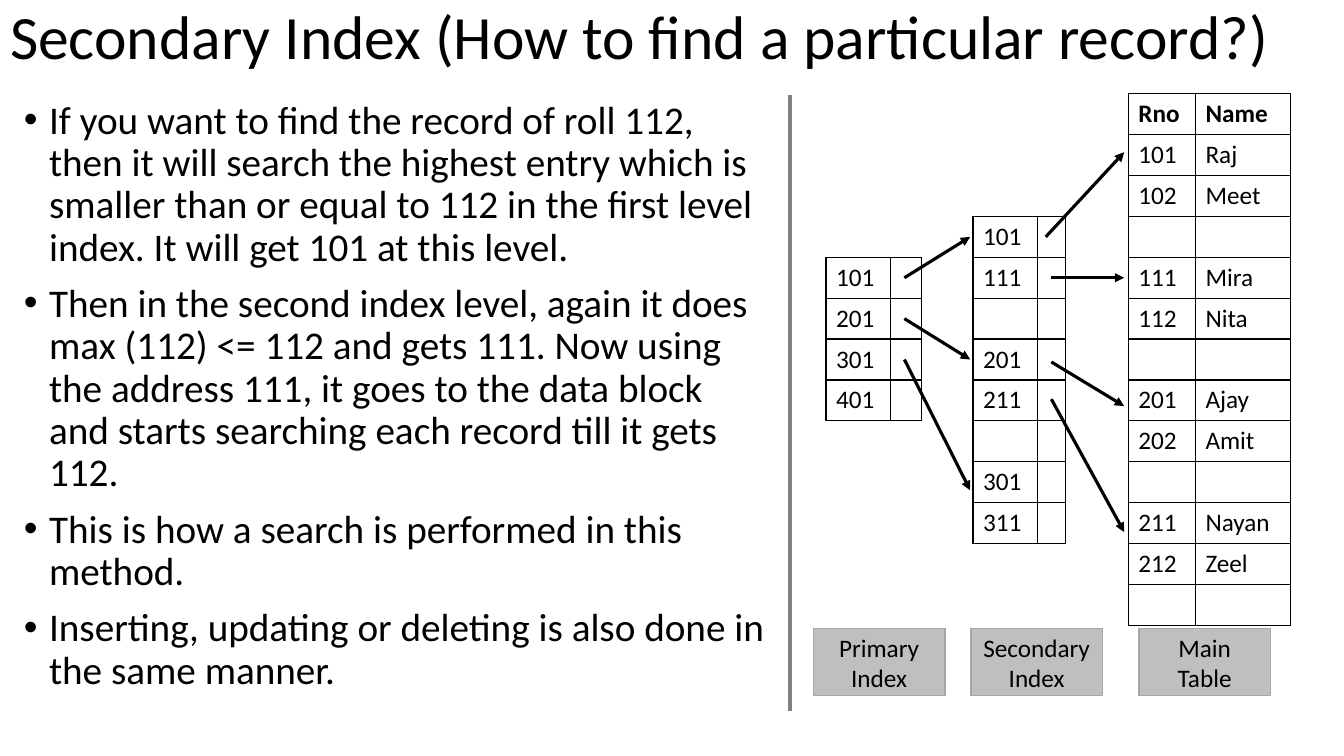
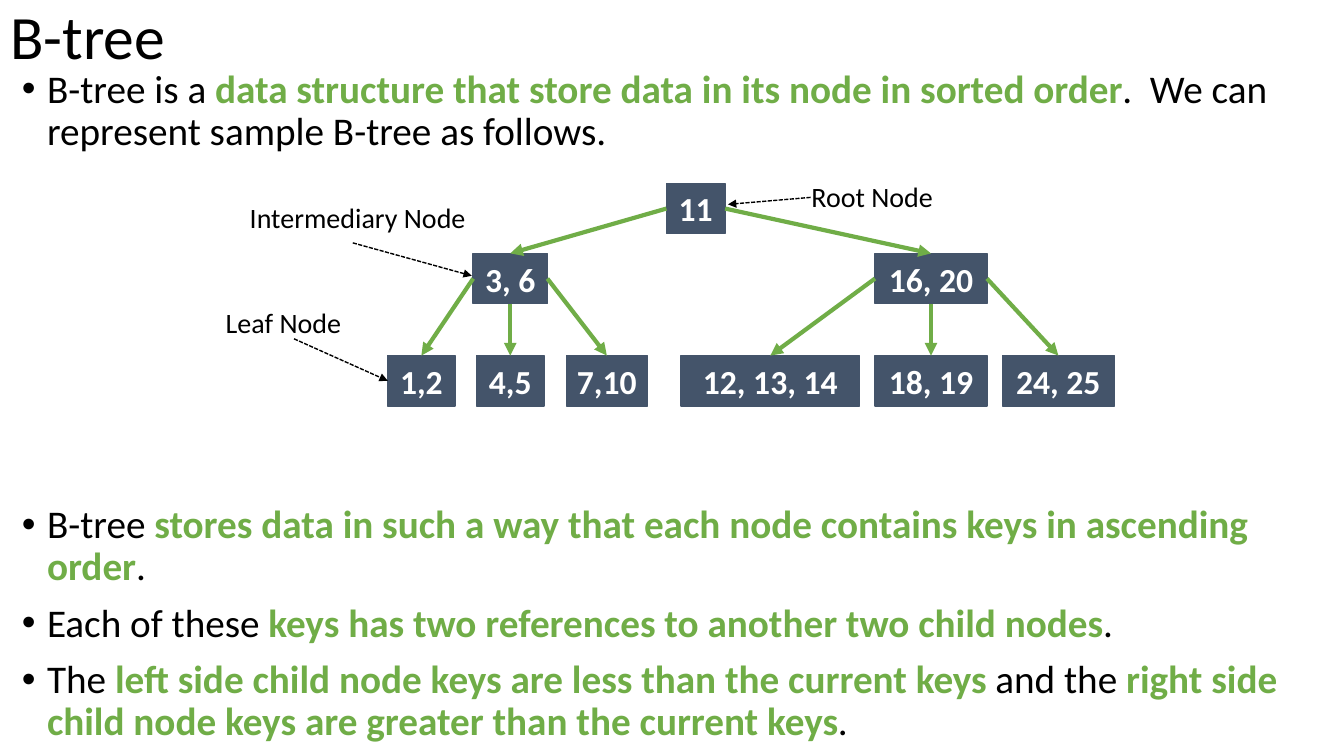
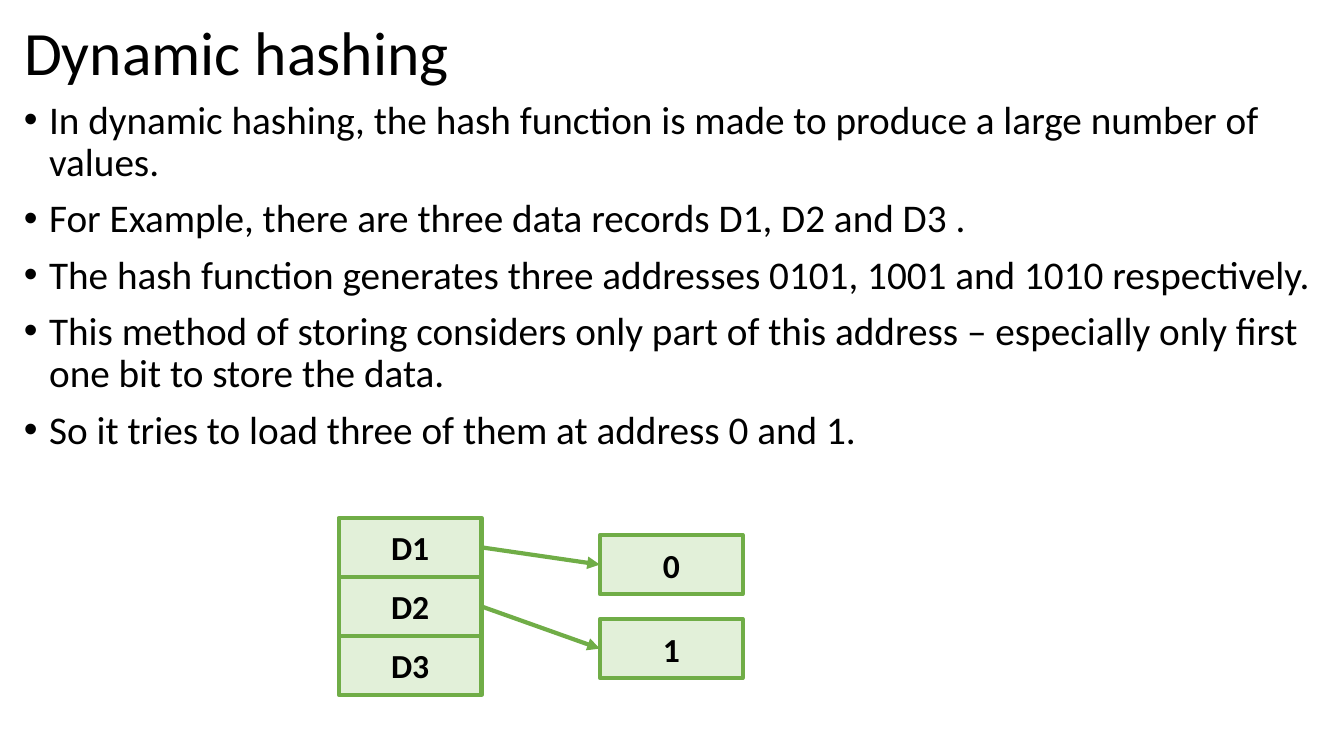
from pptx import Presentation
from pptx.dml.color import RGBColor
from pptx.enum import dml, shapes, text
from pptx.oxml import ns, xmlchemy
from pptx.util import Pt

FONT = "Calibri"
BLACK = RGBColor(0x00, 0x00, 0x00)
WHITE = RGBColor(0xFF, 0xFF, 0xFF)
GREEN = RGBColor(0x70, 0xAD, 0x47)
PALE_GREEN = RGBColor(0xE2, 0xF0, 0xD9)
SLATE = RGBColor(0x44, 0x54, 0x6A)
GRAY = RGBColor(0x80, 0x80, 0x80)
LIGHT_GRAY = RGBColor(0xBF, 0xBF, 0xBF)
MID_GRAY = RGBColor(0xA6, 0xA6, 0xA6)
PLAIN_TABLE = "{2D5ABB26-0587-4C30-8999-92F81FD0307C}"
TOP, LEFT, BOTTOM, RIGHT = range(4)

SEARCH_STEPS = [
    "If you want to find the record of roll 112, then it will search the highest entry which is "
    "smaller than or equal to 112 in the first level index. It will get 101 at this level.",
    "Then in the second index level, again it does max (112) <= 112 and gets 111. Now using the "
    "address 111, it goes to the data block and starts searching each record till it gets 112.",
    "This is how a search is performed in this method.",
    "Inserting, updating or deleting is also done in the same manner.",
]
TREE_INTRO = [
    "B-tree is a *data structure that store data in its node in sorted order*.  We can represent "
    "sample B-tree as follows.",
]
TREE_RULES = [
    "B-tree *stores data in such a way that each node contains keys in ascending order*.",
    "Each of these *keys has two references to another two child nodes*.",
    "The *left side child node keys are less than the current keys *and the *right side child node "
    "keys are greater than the current keys*.",
]
HASHING_STEPS = [
    "In dynamic hashing, the hash function is made to produce a large number of values.",
    "For Example, there are three data records D1, D2 and D3 .",
    "The hash function generates three addresses 0101, 1001 and 1010 respectively.",
    "This method of storing considers only part of this address – especially only first one bit "
    "to store the data.",
    "So it tries to load three of them at address 0 and 1.",
]

INDEX_COLUMNS = [46, 22, 37, 46, 20, 45, 48, 68]
ROW_HEIGHT = 29.2
ROW_COUNT = 13
INDEX_BLOCKS = [
    (0, 4, [("101", ""), ("201", ""), ("301", ""), ("401", "")]),
    (3, 3, [("101", ""), ("111", ""), ("", ""), ("201", ""), ("211", ""), ("", ""),
            ("301", ""), ("311", "")]),
    (6, 0, [("Rno", "Name"), ("101", "Raj"), ("102", "Meet"), ("", ""), ("111", "Mira"),
            ("112", "Nita"), ("", ""), ("201", "Ajay"), ("202", "Amit"), ("", ""),
            ("211", "Nayan"), ("212", "Zeel"), ("", "")]),
]
INDEX_ARROWS = [
    (56, 4.5, 103, 3.5), (56, 5.5, 103, 6.5), (56, 6.5, 103, 9.7),
    (157, 3.5, 213, 1.43), (161, 4.5, 213, 4.5), (161, 6.56, 213, 7.64), (161, 7.47, 213, 10.72),
]
INDEX_CAPTIONS = [("Primary Index", -9), ("Secondary Index", 103.5), ("Main Table", 223.5)]

TREE_LEVELS = [0, 50, 123]
TREE = ("11", 199, 42, [
    ("3, 6", 61, 53, [("1,2", 0, 48, []), ("4,5", 63.5, 48, []), ("7,10", 127.5, 58, [])]),
    ("16, 20", 348, 80, [("12, 13, 14", 209.5, 127.5, []), ("18, 19", 348, 80, []),
                         ("24, 25", 439, 80, [])]),
])
TREE_LABELS = [
    ("Root Node", 295, -8.5, 102, (302, 10), (243, 15)),
    ("Leaf Node", -126, 81, 103, (-67, 111), (0, 141)),
    ("Intermediary Node", -113, 6.5, 183, (-25, 42.5), (60, 66)),
]


def add_xml(parent, tag, **attributes):
    element = xmlchemy.OxmlElement(tag)
    for name, value in attributes.items():
        element.set(name, str(value))
    parent.append(element)
    return element


def write(frame, paragraphs, size=18, color=BLACK, bold=False, align=None,
          anchor=text.MSO_ANCHOR.TOP, spacing=None, bullet=False):
    frame.word_wrap = True
    frame.vertical_anchor = anchor
    for index, content in enumerate(paragraphs):
        para = frame.add_paragraph() if index else frame.paragraphs[0]
        if bullet:
            props = para._p.get_or_add_pPr()
            props.set("marL", str(Pt(18)))
            props.set("indent", str(-Pt(18)))
            add_xml(props, "a:buFont", typeface="Arial")
            add_xml(props, "a:buChar", char="•")
            para.space_before = Pt(10 if index else 0)
        para.alignment = align
        para.line_spacing = spacing
        for position, part in enumerate(content.split("*")):
            marked = position % 2 == 1
            span = para.add_run()
            span.text = part
            span.font.name = FONT
            span.font.size = Pt(size)
            span.font.bold = bold or marked
            span.font.color.rgb = GREEN if marked else color


def add_page(deck, title, left=0, top=0):
    page = deck.slides.add_slide(deck.slide_layouts[5])
    box = page.shapes.title
    box.left, box.top, box.width, box.height = Pt(left), Pt(top), Pt(960 - 2 * left), Pt(56)
    write(box.text_frame, [title], size=44, align=text.PP_ALIGN.LEFT,
          anchor=text.MSO_ANCHOR.MIDDLE, spacing=0.9)
    box.text_frame.auto_size = text.MSO_AUTO_SIZE.NONE
    return page


def add_bullets(page, paragraphs, left, top, width, height):
    box = page.shapes.add_textbox(Pt(left), Pt(top), Pt(width), Pt(height))
    write(box.text_frame, paragraphs, size=28, spacing=0.9, bullet=True)


def add_box(page, label, left, top, width, height, fill=None, line=None, weight=1, **style):
    box = page.shapes.add_shape(shapes.MSO_SHAPE.RECTANGLE, Pt(left), Pt(top), Pt(width),
                                Pt(height))
    box.shadow.inherit = False
    if fill is None:
        box.fill.background()
        box.line.fill.background()
    else:
        box.fill.solid()
        box.fill.fore_color.rgb = fill
        box.line.color.rgb = line
        box.line.width = Pt(weight)
    write(box.text_frame, [label], align=text.PP_ALIGN.CENTER,
          anchor=text.MSO_ANCHOR.MIDDLE, **style)
    return box


def add_line(page, start, end, color, weight, dash=None, arrow=True):
    points = [Pt(value) for value in (*start, *end)]
    line = page.shapes.add_connector(shapes.MSO_CONNECTOR.STRAIGHT, *points)
    line.line.color.rgb = color
    line.line.width = Pt(weight)
    if dash:
        line.line.dash_style = dash
    if arrow:
        add_xml(line.line._get_or_add_ln(), "a:tailEnd", type="triangle")
    add_xml(line._element.spPr, "a:effectLst")
    return line


def join(page, source, source_side, target, target_side):
    line = add_line(page, (0, 0), (0, 0), GREEN, 3)
    line.begin_connect(source, source_side)
    line.end_connect(target, target_side)


def set_borders(cell, sides):
    props = cell._tc.get_or_add_tcPr()
    for side in ("L", "R", "T", "B"):
        if side in sides:
            edge = add_xml(props, f"a:ln{side}", w=Pt(1))
            add_xml(add_xml(edge, "a:solidFill"), "a:srgbClr", val=BLACK)
        else:
            add_xml(add_xml(props, f"a:ln{side}", w=0), "a:noFill")


def add_index_table(page, left, top):
    frame = page.shapes.add_table(ROW_COUNT, len(INDEX_COLUMNS), Pt(left), Pt(top),
                                  Pt(sum(INDEX_COLUMNS)), Pt(ROW_COUNT * ROW_HEIGHT))
    table = frame.table
    table.first_row = table.horz_banding = False
    table._tbl.tblPr.find(ns.qn("a:tableStyleId")).text = PLAIN_TABLE
    for column, width in zip(table.columns, INDEX_COLUMNS):
        column.width = Pt(width)
    entries = {
        (first_row + i, first_column + j): value
        for first_column, first_row, rows in INDEX_BLOCKS
        for i, row in enumerate(rows)
        for j, value in enumerate(row)
    }
    for r, row in enumerate(table.rows):
        row.height = Pt(ROW_HEIGHT)
        for c, cell in enumerate(row.cells):
            neighbours = {"L": (r, c - 1), "R": (r, c + 1), "T": (r - 1, c), "B": (r + 1, c)}
            set_borders(cell, [side for side, place in neighbours.items()
                               if (r, c) in entries or place in entries])
            cell.fill.background()
            write(cell.text_frame, [entries.get((r, c), "")], bold=r == 0)


def add_index_diagram(page, left, top):
    add_index_table(page, left, top)
    for x1, row1, x2, row2 in INDEX_ARROWS:
        add_line(page, (left + x1, top + row1 * ROW_HEIGHT),
                 (left + x2, top + row2 * ROW_HEIGHT), BLACK, 2.25)
    for label, x in INDEX_CAPTIONS:
        add_box(page, label, left + x, top + 382, 94, 48, fill=LIGHT_GRAY, line=MID_GRAY)


def add_node(page, node, left, top, level=0):
    label, x, width, children = node
    box = add_box(page, label, left + x, top + TREE_LEVELS[level], width, 36,
                  fill=SLATE, line=SLATE, size=24, color=WHITE, bold=True)
    sides = (LEFT, RIGHT) if len(children) == 2 else (LEFT, BOTTOM, RIGHT)
    for side, child in zip(sides, children):
        join(page, box, side, add_node(page, child, left, top, level + 1), TOP)
    return box


def add_tree(page, left, top):
    add_node(page, TREE, left, top)
    for label, x, y, width, start, end in TREE_LABELS:
        add_box(page, label, left + x, top + y, width, 36, size=20)
        add_line(page, (left + start[0], top + start[1]), (left + end[0], top + end[1]),
                 BLACK, 1, dash=dml.MSO_LINE.SQUARE_DOT)


def add_buckets(page, left, top):
    def add_column(labels, x, y, step):
        return [add_box(page, label, left + x, top + y + i * step, 102, 42, fill=PALE_GREEN,
                        line=GREEN, weight=3, size=24, bold=True)
                for i, label in enumerate(labels)]

    records = add_column(["D1", "D2", "D3"], 0, 0, 42.2)
    addresses = add_column(["0", "1"], 186.5, 12.3, 60)
    for record, address in zip(records, addresses):
        join(page, record, RIGHT, address, LEFT)


def main():
    deck = Presentation()
    deck.slide_width, deck.slide_height = Pt(960), Pt(540)

    page = add_page(deck, "Secondary Index (How to find a particular record?)")
    add_bullets(page, SEARCH_STEPS, 10, 68, 545, 440)
    add_line(page, (564.5, 68), (564.5, 508), GRAY, 3, arrow=False)
    add_index_diagram(page, 590, 67)

    page = add_page(deck, "B-tree")
    add_bullets(page, TREE_INTRO, 8.5, 46, 940, 70)
    add_tree(page, 277, 131)
    add_bullets(page, TREE_RULES, 8.5, 357, 940, 180)

    page = add_page(deck, "Dynamic hashing", left=10, top=12)
    add_bullets(page, HASHING_STEPS, 10, 68, 940, 440)
    add_buckets(page, 242, 370)

    deck.save("out.pptx")


if __name__ == "__main__":
    main()
